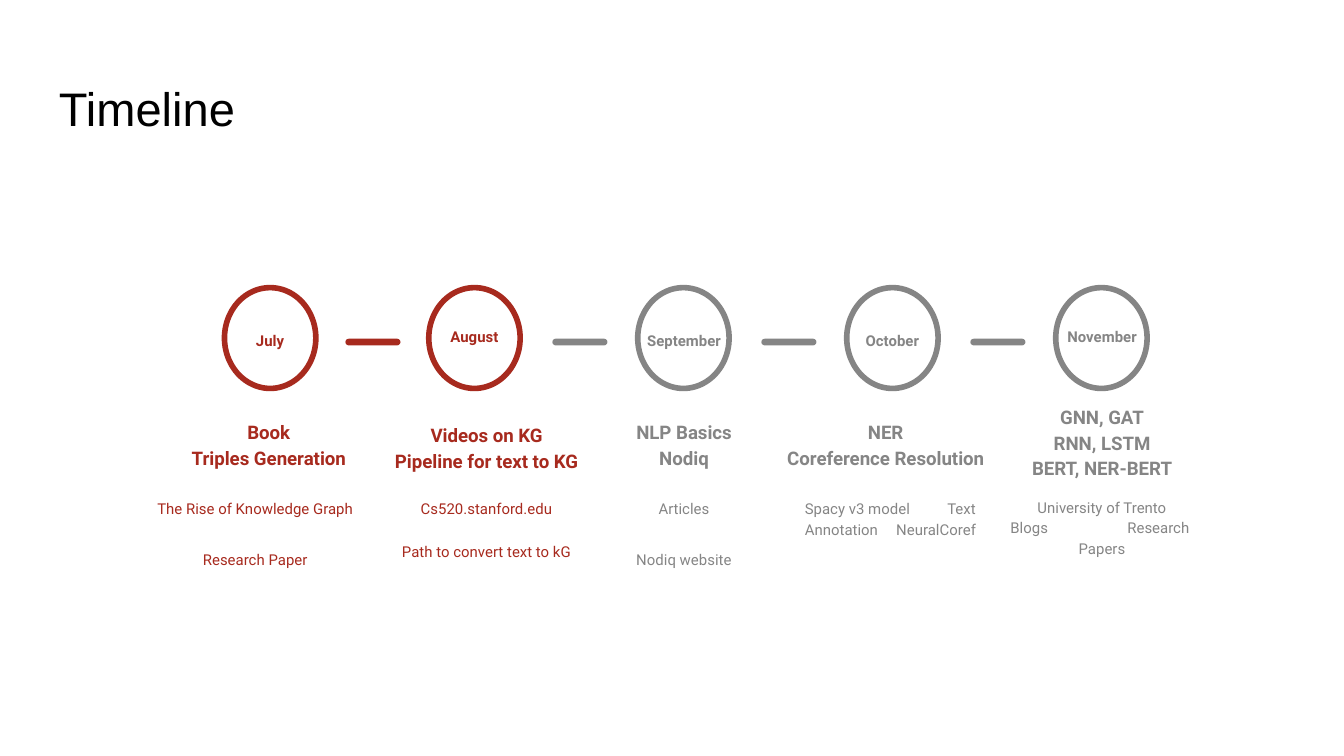
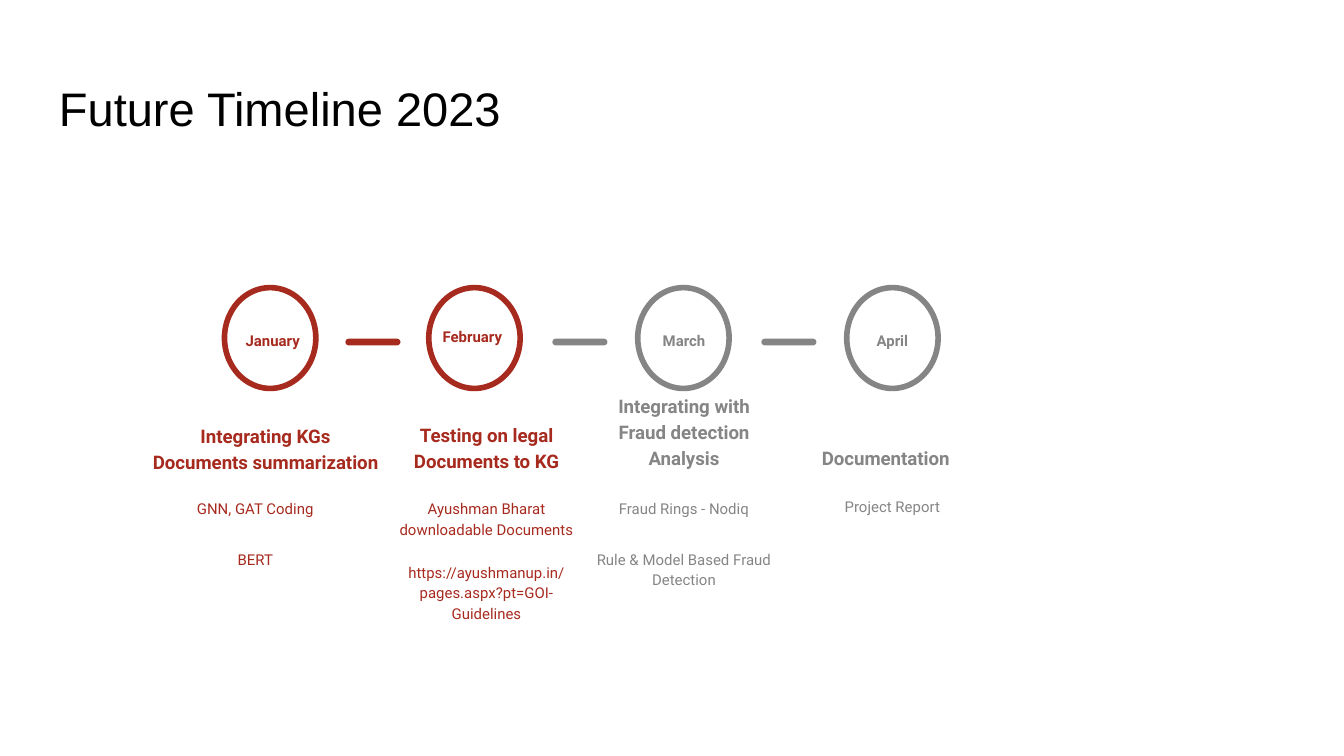
"""Build two milestone timeline slides."""
from dataclasses import dataclass
from typing import NamedTuple

from lxml import etree
from pptx import Presentation
from pptx.dml.color import RGBColor
from pptx.enum import shapes, text
from pptx.oxml.ns import qn
from pptx.util import Inches, Pt

WIDTH = Inches(10)
HEIGHT = WIDTH * 9 // 16
CELL = WIDTH // 100


@dataclass(frozen=True)
class Theme:
    """Colours, fonts and type sizes of the deck."""
    done: RGBColor = RGBColor(0xA7, 0x2A, 0x1E)
    ahead: RGBColor = RGBColor(0x85, 0x85, 0x85)
    ink: RGBColor = RGBColor(0, 0, 0)
    title_font: str = "Arial"
    body_font: str = "Roboto"
    title_size: float = 25.2
    heading_size: float = 10
    small_size: float = 8
    ring: float = 3
    leading: float = 1.15


THEME = Theme()


class Box(NamedTuple):
    """An area in grid cells, each a hundredth of the slide's width."""
    left: float
    top: float
    width: float
    height: float

    def emu(self) -> list[int]:
        """Return the area in slide units."""
        return [round(side * CELL) for side in self]


class Slot(NamedTuple):
    """The text areas of one timeline column."""
    month: Box
    heading: Box
    details: Box


class Line(NamedTuple):
    """A line of text, with a tab stop in cells if it is split in two."""
    words: str
    tab: float = 0


class Style(NamedTuple):
    """The look of a text block."""
    size: float
    color: RGBColor
    bold: bool = False
    font: str = THEME.body_font
    leading: float = THEME.leading
    align: text.PP_ALIGN = text.PP_ALIGN.CENTER
    anchor: text.MSO_ANCHOR = text.MSO_ANCHOR.TOP
    gap: float = 0


@dataclass(frozen=True)
class Milestone:
    """One month with its topics and its sources."""
    month: str
    topics: list[Line]
    sources: list[Line]
    slot: Slot
    gap: float = 16


JULY = Slot(Box(16.7, 23.7, 6.8, 4), Box(12.5, 30.3, 15, 5.6), Box(10.2, 36, 17.6, 9.3))
AUGUST = Slot(Box(31.9, 23.4, 6.8, 4), Box(27.8, 28.9, 16.8, 7.2), Box(27.8, 36, 16.8, 9.3))
SEPTEMBER = Slot(Box(46.9, 23.7, 8, 4), Box(43.1, 30.3, 15.6, 5.6), Box(43.1, 36, 15.6, 9.3))
OCTOBER = Slot(Box(63, 23.7, 6.8, 4), Box(56.6, 30.3, 18.6, 5.6), Box(58.9, 36, 15, 9.3))
NOVEMBER = Slot(Box(77.9, 23.4, 8.2, 4), Box(74.2, 31.1, 15.6, 5.6), Box(74.2, 35.9, 15.6, 9.3))
JANUARY = JULY._replace(month=Box(17.1, 23.7, 6.4, 4), heading=Box(10.2, 30.6, 19.1, 5.6))
FEBRUARY = AUGUST._replace(month=Box(31.6, 23.4, 7.1, 4))
APRIL = OCTOBER._replace(details=Box(58.9, 36.1, 15, 9.3))

TITLE = Box(3.4, 4.9, 93.2, 6.3)
PITCH = 15.55
DONE_COUNT = 2

TIMELINES = {
    "Timeline": [
        Milestone("July", [Line("Book"), Line("Triples Generation")],
                  [Line("The Rise of Knowledge Graph"), Line("Research Paper")], JULY),
        Milestone("August", [Line("Videos on KG"), Line("Pipeline for text to KG")],
                  [Line("Cs520.stanford.edu"), Line("Path to convert text to kG")], AUGUST, 12),
        Milestone("September", [Line("NLP Basics"), Line("Nodiq")],
                  [Line("Articles"), Line("Nodiq website")], SEPTEMBER),
        Milestone("October", [Line("NER"), Line("Coreference Resolution")],
                  [Line("Spacy v3 model\tText", 10.6), Line("Annotation\tNeuralCoref", 6.8)],
                  OCTOBER, 0),
        Milestone("November", [Line("GNN, GAT"), Line("RNN, LSTM"), Line("BERT, NER-BERT")],
                  [Line("University of Trento"), Line("Blogs\tResearch", 8.7), Line("Papers")],
                  NOVEMBER, 0),
    ],
    "Future Timeline 2023": [
        Milestone("January", [Line("Integrating KGs"), Line("Documents summarization")],
                  [Line("GNN, GAT Coding"), Line("BERT")], JANUARY),
        Milestone("February", [Line("Testing on legal Documents to KG")],
                  [Line("Ayushman Bharat downloadable Documents"),
                   Line("https://ayushmanup.in/pages.aspx?pt=GOI-Guidelines")], FEBRUARY, 12),
        Milestone("March", [Line("Integrating with Fraud detection Analysis")],
                  [Line("Fraud Rings - Nodiq"), Line("Rule & Model Based Fraud Detection")],
                  SEPTEMBER),
        Milestone("April", [Line("Documentation")], [Line("Project Report")], APRIL),
    ],
}


def station(index: int, first: float, second: float) -> float:
    """Return the left edge of a repeated mark; the first has its own place."""
    return second + PITCH * (index - 1) if index else first


def write(parent, box: Box, lines: list[Line], style: Style) -> None:
    """Add a text block to a slide or group."""
    frame = parent.shapes.add_textbox(*box.emu()).text_frame
    frame.word_wrap = True
    frame.vertical_anchor = style.anchor
    frame.margin_left = frame.margin_right = frame.margin_top = frame.margin_bottom = CELL
    for index, line in enumerate(lines):
        paragraph = frame.add_paragraph() if index else frame.paragraphs[0]
        paragraph.text = line.words
        paragraph.alignment = style.align
        if line.tab:
            paragraph.alignment = text.PP_ALIGN.LEFT
            stops = etree.SubElement(paragraph._p.get_or_add_pPr(), qn("a:tabLst"))
            etree.SubElement(stops, qn("a:tab"), pos=str(round(line.tab * CELL)), algn="l")
        paragraph.line_spacing = style.leading
        if index:
            paragraph.space_before = Pt(style.gap)
        paragraph.font.name = style.font
        paragraph.font.size = Pt(style.size)
        paragraph.font.bold = style.bold
        paragraph.font.color.rgb = style.color


def draw_ring(parent, index: int, color: RGBColor) -> None:
    """Add the outlined circle around a month."""
    ring = parent.shapes.add_shape(
        shapes.MSO_SHAPE.OVAL, *Box(station(index, 16.7, 31.9), 21.4, 6.8, 7.5).emu())
    ring.shadow.inherit = False
    ring.fill.background()
    ring.line.color.rgb = color
    ring.line.width = Pt(THEME.ring)


def draw_dash(slide, index: int, color: RGBColor) -> None:
    """Add the rounded dash that follows a month."""
    dash = slide.shapes.add_shape(
        shapes.MSO_SHAPE.ROUNDED_RECTANGLE,
        *Box(station(index, 25.7, 41.1), 25.2, 4.1, 0.5).emu())
    dash.adjustments[0] = 0.5
    dash.shadow.inherit = False
    dash.fill.solid()
    dash.fill.fore_color.rgb = color
    dash.line.fill.background()


def draw_milestone(slide, index: int, milestone: Milestone, color: RGBColor) -> None:
    """Add one month with its heading and details as a group."""
    group = slide.shapes.add_group_shape()
    slot = milestone.slot
    draw_ring(group, index, color)
    write(group, slot.month, [Line(milestone.month)], Style(THEME.small_size, color, bold=True))
    write(group, slot.heading, milestone.topics,
          Style(THEME.heading_size, color, bold=True, anchor=text.MSO_ANCHOR.BOTTOM))
    write(group, slot.details, milestone.sources,
          Style(THEME.small_size, color, gap=milestone.gap))


def draw_timeline(deck, title: str, milestones: list[Milestone]) -> None:
    """Add a slide with a title and its row of milestones."""
    slide = deck.slides.add_slide(deck.slide_layouts[6])
    write(slide, TITLE, [Line(title)],
          Style(THEME.title_size, THEME.ink, font=THEME.title_font, leading=1,
                align=text.PP_ALIGN.LEFT))
    for index, milestone in enumerate(milestones):
        color = THEME.done if index < DONE_COUNT else THEME.ahead
        if index:
            draw_dash(slide, index - 1, color)
        draw_milestone(slide, index, milestone, color)


def main() -> None:
    """Build and save the deck."""
    deck = Presentation()
    deck.slide_width, deck.slide_height = WIDTH, HEIGHT
    for title, milestones in TIMELINES.items():
        draw_timeline(deck, title, milestones)
    deck.save("out.pptx")


if __name__ == "__main__":
    main()
